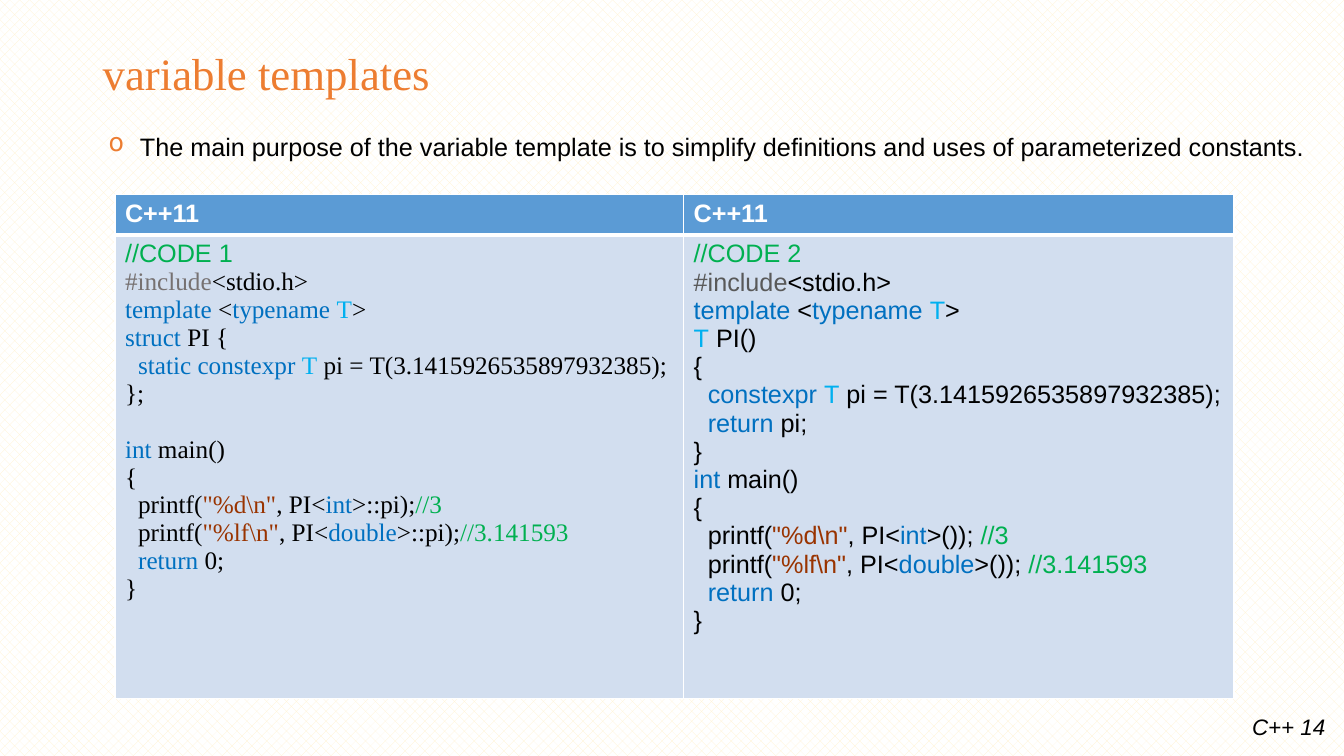
import dataclasses

import lxml.etree
import pptx
import pptx.dml.color
import pptx.enum.dml
import pptx.enum.text
import pptx.oxml.ns
import pptx.slide
import pptx.table
import pptx.text.text
import pptx.util

Inches = pptx.util.Inches
Pt = pptx.util.Pt
qn = pptx.oxml.ns.qn

COLORS = {
    "pattern": "FFF2CC", "white": "FFFFFF", "black": "000000",
    "accent": "ED7D31", "header": "5B9BD5", "body": "D2DEEF",
    "keyword": "0070C0", "type": "00B0F0", "string": "993300", "comment": "00B050",
}
KEYWORDS = {"template", "typename", "struct", "static constexpr", "constexpr",
            "int", "double", "return"}
ROW_HEIGHTS = (0.4, 4.6)
LINE_HEIGHT = Pt(20)


@dataclasses.dataclass
class Label:
    text: str
    left: float
    top: float
    width: float
    height: float
    size: int
    font: str = "Arial"
    color: str = "black"
    italic: bool = False
    wrap: bool = True


@dataclasses.dataclass
class Listing:
    heading: str
    width: float
    font: str
    directive: str
    indent: float
    code: str


TITLE = Label("variable templates", 0.92, 0.4, 3.58, 0.7, 32, "Times New Roman", "accent")
PURPOSE = Label("The main purpose of the variable template is to simplify definitions "
                "and uses of parameterized constants.", 0.98, 1.25, 12.24, 0.4, 18)
FOOTER = Label("C++ 14", 12.32, 7.03, 0.94, 0.37, 16, italic=True, wrap=False)

# A bar separates the pieces of a code line that differ in colour.
LISTINGS = [
    Listing("C++11", 5.64, "Times New Roman", "767171", 0.13, r"""//CODE 1
#include|<stdio.h>
template| <|typename |T|>
struct |PI {
  static constexpr |T| pi = T(3.1415926535897932385);
};

int |main()
{
  printf(|"%d\n"|, PI<|int|>::pi);|//3
  printf(|"%lf\n"|, PI<|double|>::pi);|//3.141593
  return| 0;
}"""),
    Listing("C++11", 5.46, "Arial", "595959", 0.14, r"""//CODE 2
#include|<stdio.h>
template| <|typename |T|>
T| PI()
{
  constexpr |T| pi = T(3.1415926535897932385);
  return| pi;
}
int |main()
{
  printf(|"%d\n"|, PI<|int|>());| //3
  printf(|"%lf\n"|, PI<|double|>());| //3.141593
  return| 0;
}"""),
]


def rgb(value: str) -> pptx.dml.color.RGBColor:
    return pptx.dml.color.RGBColor.from_string(value)


def style(font: pptx.text.text.Font, name: str, size: int, color: str,
          bold: bool = False, italic: bool = False) -> None:
    font.name, font.size = name, Pt(size)
    font.bold, font.italic = bold, italic
    font.color.rgb = rgb(color)


def add_label(s: pptx.slide.Slide, label: Label) -> pptx.text.text.TextFrame:
    box = (label.left, label.top, label.width, label.height)
    tf = s.shapes.add_textbox(*map(Inches, box)).text_frame
    tf.word_wrap = label.wrap
    tf.text = label.text
    style(tf.paragraphs[0].runs[0].font, label.font, label.size,
          COLORS[label.color], italic=label.italic)
    return tf


def set_indent(p: pptx.text.text._Paragraph, left: float, first: float = 0) -> None:
    pPr = p._p.get_or_add_pPr()
    pPr.set("marL", str(Inches(left)))
    pPr.set("indent", str(Inches(first)))


def add_bullet(p: pptx.text.text._Paragraph, char: str, color: str) -> None:
    set_indent(p, 0.31, -0.31)
    pPr = p._p.get_or_add_pPr()
    bu_clr = lxml.etree.SubElement(pPr, qn("a:buClr"))
    lxml.etree.SubElement(bu_clr, qn("a:srgbClr"), val=color)
    lxml.etree.SubElement(pPr, qn("a:buChar"), char=char)


def format_cell(cell: pptx.table._Cell, fill: str, top: int, bottom: int) -> None:
    """Fill the cell and give it white borders; top and bottom are widths in points."""
    tcPr = cell._tc.get_or_add_tcPr()
    for side, width in (("L", 1), ("R", 1), ("T", top), ("B", bottom)):
        ln = lxml.etree.SubElement(tcPr, qn(f"a:ln{side}"), w=str(Pt(width)))
        solid = lxml.etree.SubElement(ln, qn("a:solidFill"))
        lxml.etree.SubElement(solid, qn("a:srgbClr"), val=COLORS["white"])
    cell.fill.solid()
    cell.fill.fore_color.rgb = rgb(fill)


def code_color(piece: str, directive: str) -> str:
    token = piece.strip()
    if token.startswith("//"):
        return COLORS["comment"]
    if token.startswith('"'):
        return COLORS["string"]
    if token.startswith("#"):
        return directive
    if token in KEYWORDS:
        return COLORS["keyword"]
    return COLORS["type" if token == "T" else "black"]


def write_code(tf: pptx.text.text.TextFrame, listing: Listing) -> None:
    """Write one paragraph per code line; an empty line becomes space before the next."""
    p, gap = tf.paragraphs[0], 0
    for number, line in enumerate(listing.code.splitlines()):
        if not line:
            gap = LINE_HEIGHT
            continue
        if number:
            p = tf.add_paragraph()
        p.space_before, gap = gap, 0
        if line.startswith("  "):
            set_indent(p, listing.indent)
        for piece in line.removeprefix("  ").split("|"):
            r = p.add_run()
            r.text = piece
            # The opening comment is set in Arial in both listings.
            font = listing.font if number else "Arial"
            style(r.font, font, 18, code_color(piece, listing.directive))


def add_code_table(s: pptx.slide.Slide) -> None:
    width = sum(listing.width for listing in LISTINGS)
    table = s.shapes.add_table(2, len(LISTINGS), Inches(1.14), Inches(1.93),
                               Inches(width), Inches(sum(ROW_HEIGHTS))).table
    table.horz_banding = False
    for row, height in zip(table.rows, ROW_HEIGHTS):
        row.height = Inches(height)
    for i, listing in enumerate(LISTINGS):
        table.columns[i].width = Inches(listing.width)
        head, body = table.cell(0, i), table.cell(1, i)
        format_cell(head, COLORS["header"], top=1, bottom=3)
        format_cell(body, COLORS["body"], top=3, bottom=1)
        head.text_frame.text = listing.heading
        style(head.text_frame.paragraphs[0].runs[0].font, "Arial", 18,
              COLORS["white"], bold=True)
        write_code(body.text_frame, listing)


def main() -> None:
    prs = pptx.Presentation()
    prs.slide_width, prs.slide_height = Inches(13.33), Inches(7.5)
    s = prs.slides.add_slide(prs.slide_layouts[6])
    fill = s.background.fill
    fill.patterned()
    fill.pattern = pptx.enum.dml.MSO_PATTERN.PERCENT_30
    fill.fore_color.rgb = rgb(COLORS["pattern"])
    fill.back_color.rgb = rgb(COLORS["white"])

    add_label(s, FOOTER)
    tf = add_label(s, TITLE)
    tf.vertical_anchor = pptx.enum.text.MSO_ANCHOR.MIDDLE
    tf.paragraphs[0].line_spacing = 0.9
    add_bullet(add_label(s, PURPOSE).paragraphs[0], "o", COLORS["accent"])
    add_code_table(s)
    prs.save("out.pptx")


if __name__ == "__main__":
    main()
